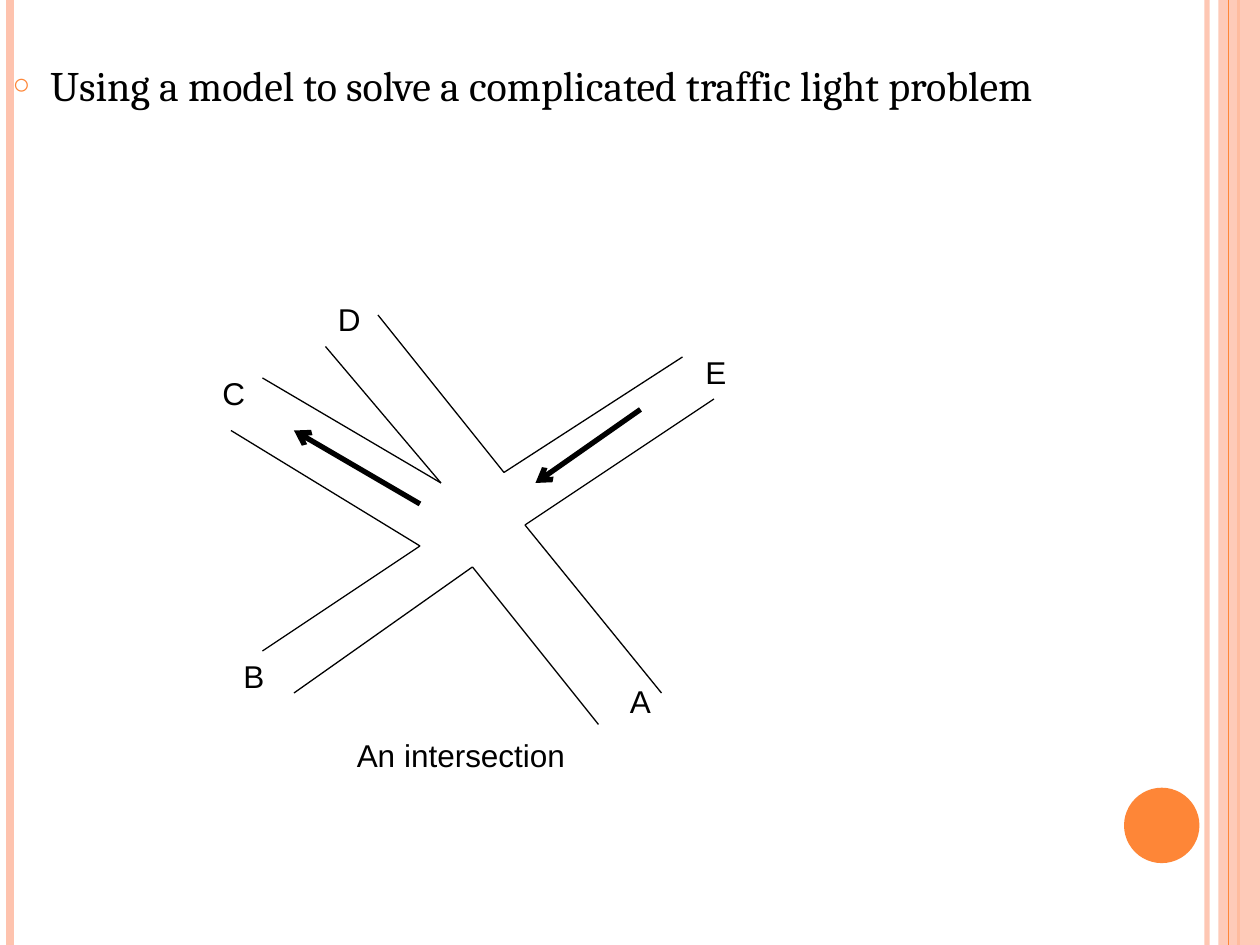
import dataclasses

import lxml.etree
import pptx
import pptx.dml.color
import pptx.enum.shapes
import pptx.enum.text
import pptx.oxml
import pptx.oxml.ns
import pptx.util

Cm = pptx.util.Cm
Pt = pptx.util.Pt
qn = pptx.oxml.ns.qn

WIDTH, HEIGHT = 25.4, 19.05
GRID = WIDTH / 120  # the drawing sits on a grid of 120 columns


@dataclasses.dataclass(frozen=True)
class Theme:
    accent: str = "FE8637"
    pale: str = "FEC3AE"
    ink: str = "000000"
    body_font: str = "Cambria"
    label_font: str = "Arial"
    body_size: int = 24
    label_size: int = 18
    road_width: float = 0.75
    arrow_width: float = 3


class SlideBuilder:
    def __init__(self, slide, theme):
        self.slide = slide
        self.theme = theme

    def paint(self, fill, color, opacity=100):
        fill.solid()
        fill.fore_color.rgb = pptx.dml.color.RGBColor.from_string(color)
        if opacity < 100:
            color_element = fill._xPr.find(".//" + qn("a:srgbClr"))
            lxml.etree.SubElement(color_element, qn("a:alpha"), val=str(opacity * 1000))

    def style(self, para, font, size):
        para.font.name = font
        para.font.size = Pt(size)
        para.font.color.rgb = pptx.dml.color.RGBColor.from_string(self.theme.ink)

    def line(self, start, end, color, width, opacity=100, arrow=False):
        connector = self.slide.shapes.add_connector(
            pptx.enum.shapes.MSO_CONNECTOR.STRAIGHT, *map(Cm, start + end))
        connector.line.width = Pt(width)
        self.paint(connector.line.fill, color, opacity)
        properties = connector._element.spPr
        if arrow:
            outline = properties.find(qn("a:ln"))
            lxml.etree.SubElement(outline, qn("a:tailEnd"), type="arrow")
        lxml.etree.SubElement(properties, qn("a:effectLst"))

    def stripe(self, x, color, width, opacity=100):
        self.line((x, 0), (x, HEIGHT), color, width, opacity)

    def shape(self, kind, left, top, width, height, color, opacity=100):
        shape = self.slide.shapes.add_shape(kind, *map(Cm, (left, top, width, height)))
        shape.shadow.inherit = False
        shape.line.fill.background()
        self.paint(shape.fill, color, opacity)

    def bullet_text(self, text, left, top, width, height):
        body = self.slide.placeholders[1]
        body.left, body.top, body.width, body.height = map(Cm, (left, top, width, height))
        frame = body.text_frame
        frame.auto_size = pptx.enum.text.MSO_AUTO_SIZE.NONE
        frame.vertical_anchor = pptx.enum.text.MSO_ANCHOR.TOP
        frame.text = text
        para = frame.paragraphs[0]
        para.alignment = pptx.enum.text.PP_ALIGN.LEFT
        para.space_before = Pt(0)
        properties = para._p.get_or_add_pPr()
        indent = Cm(0.76)
        properties.set("marL", str(indent))
        properties.set("indent", str(-indent))
        bullet_color = lxml.etree.SubElement(properties, qn("a:buClr"))
        lxml.etree.SubElement(bullet_color, qn("a:srgbClr"), val=self.theme.accent)
        lxml.etree.SubElement(properties, qn("a:buSzPct"), val="70000")
        lxml.etree.SubElement(properties, qn("a:buChar"), char="○")
        self.style(para, self.theme.body_font, self.theme.body_size)

    def label(self, text, column, row, width=0.94):
        box = self.slide.shapes.add_textbox(
            Cm(column * GRID), Cm(row * GRID), Cm(width), Cm(1.02))
        frame = box.text_frame
        frame.word_wrap = False
        frame.auto_size = pptx.enum.text.MSO_AUTO_SIZE.SHAPE_TO_FIT_TEXT
        frame.text = text
        self.style(frame.paragraphs[0], self.theme.label_font, self.theme.label_size)

    def grid_line(self, start, end, width, arrow=False):
        start, end = (tuple(GRID * n for n in point) for point in (start, end))
        self.line(start, end, self.theme.ink, width, arrow=arrow)


# Kerbs between neighbouring roads: outer end, corner, outer end
KERBS = [
    ((31, 33), (42, 46), (25, 36)),
    ((22, 41), (40, 52), (25, 62)),
    ((28, 66), (45, 54), (57, 69)),
    ((36, 30), (48, 45), (65, 34)),
    ((68, 38), (50, 50), (63, 66)),
]
TRAFFIC = [((40, 48), (28, 41)), ((61, 39), (51, 46))]
ROAD_NAMES = [("A", 58.8, 64.4), ("B", 22, 62), ("C", 20, 35), ("D", 31, 28), ("E", 66, 33)]


def main():
    deck = pptx.Presentation()
    deck.slide_width, deck.slide_height = Cm(WIDTH), Cm(HEIGHT)
    slide = deck.slides.add_slide(deck.slide_layouts[0])
    title = slide.shapes.title._element
    title.getparent().remove(title)
    theme = Theme()
    page = SlideBuilder(slide, theme)
    shapes = pptx.enum.shapes.MSO_SHAPE

    # Side decoration
    page.stripe(24.33, theme.pale, 3, opacity=93)
    page.stripe(0.2, theme.pale, 4.5)
    page.stripe(24.97, theme.accent, 1.5)
    page.shape(shapes.RECTANGLE, 24.56, 0, 0.84, HEIGHT, theme.pale, opacity=87)
    page.stripe(24.77, theme.accent, 0.75)
    page.shape(shapes.OVAL, 22.66, 15.88, 1.52, 1.52, theme.accent)

    # Statement
    page.bullet_text("Using a model to solve a complicated traffic light problem",
                     0, 1.07, WIDTH, 4.01)

    # Intersection
    for first, corner, last in KERBS:
        page.grid_line(first, corner, theme.road_width)
        page.grid_line(corner, last, theme.road_width)
    for start, end in TRAFFIC:
        page.grid_line(start, end, theme.arrow_width, arrow=True)

    # Road names and caption
    for name, column, row in ROAD_NAMES:
        page.label(name, column, row)
    page.label("An intersection", 32.8, 69.5, width=4.7)

    deck.save("out.pptx")


if __name__ == "__main__":
    main()
